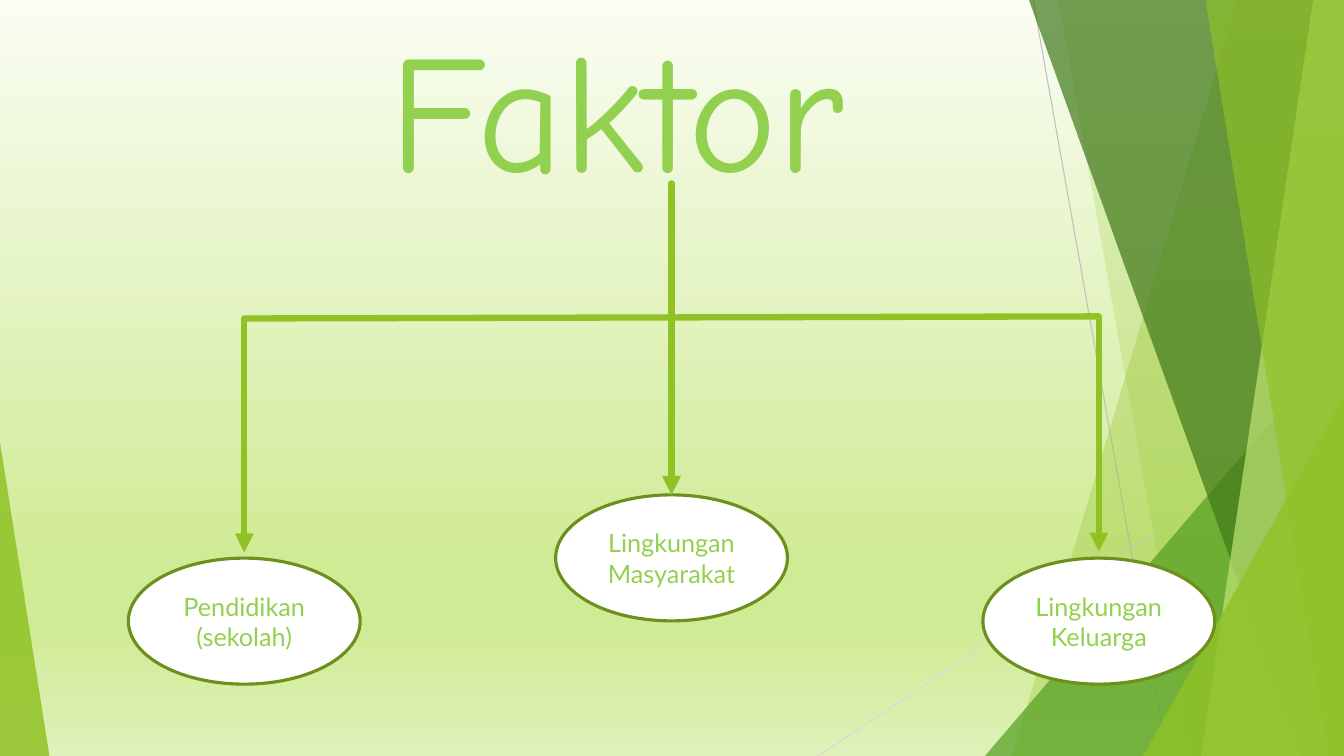
"""Build the slide "Faktor": a title with arrows to three ovals."""
from lxml import etree
from pptx import Presentation
from pptx.dml.color import RGBColor
from pptx.enum.shapes import MSO_CONNECTOR, MSO_SHAPE
from pptx.enum.text import MSO_ANCHOR, PP_ALIGN
from pptx.oxml.ns import qn
from pptx.util import Pt

OVAL, PEAK = MSO_SHAPE.OVAL, MSO_SHAPE.ISOSCELES_TRIANGLE
LINE = MSO_CONNECTOR.STRAIGHT
LEFT, MID = PP_ALIGN.LEFT, PP_ALIGN.CENTER
WIDE, HIGH = 960, 540
GREEN, LIME = "90C226", "92D050"


def paint(fill, tone, alpha=100):
    fill.solid()
    fill.fore_color.rgb = RGBColor.from_string(tone)
    if alpha < 100:
        clr = fill._xPr.find(".//" + qn("a:srgbClr"))
        etree.SubElement(clr, qn("a:alpha"), val=str(alpha * 1000))


def write(frame, text, size=18, font="Lato", tone=LIME, align=MID):
    frame.word_wrap = True
    par = frame.paragraphs[0]
    par.text = text
    par.alignment = align
    for run in par.runs:
        run.font.size = Pt(size)
        run.font.name = font
        run.font.color.rgb = RGBColor.from_string(tone)


class Board:
    def __init__(self, deck):
        self.slide = deck.slides.add_slide(deck.slide_layouts[6])
        self.shapes = self.slide.shapes

    def back(self, stops):
        fill = self.slide.background.fill
        fill.gradient()
        fill.gradient_angle = 270
        rows = self.slide.element.find(".//" + qn("a:gsLst"))
        for row in list(rows):
            rows.remove(row)
        for pos, tone in stops:
            row = etree.SubElement(rows, qn("a:gs"), pos=str(pos * 1000))
            etree.SubElement(row, qn("a:srgbClr"), val=tone)

    def shard(self, points, tone, alpha):
        first, *rest = [(Pt(x), Pt(y)) for x, y in points]
        path = self.shapes.build_freeform(*first)
        path.add_line_segments(rest, close=True)
        self.plain(path.convert_to_shape(), tone, alpha)

    def peak(self, x, y, w, h, tip, tone, alpha):
        shape = self.shapes.add_shape(PEAK, Pt(x), Pt(y), Pt(w), Pt(h))
        shape.adjustments[0] = tip
        self.plain(shape, tone, alpha)

    def plain(self, shape, tone, alpha):
        shape.shadow.inherit = False
        paint(shape.fill, tone, alpha)
        shape.line.fill.background()

    def oval(self, mid, top, text):
        w, h = 165.6, 90
        shape = self.shapes.add_shape(OVAL, Pt(mid - w / 2), Pt(top), Pt(w), Pt(h))
        shape.shadow.inherit = False
        paint(shape.fill, "FFFFFF")
        paint(shape.line.fill, "6B901C")
        shape.line.width = Pt(2.25)
        shape.text_frame.vertical_anchor = MSO_ANCHOR.MIDDLE
        write(shape.text_frame, text)
        return shape

    def title(self, x, y, w, h, text):
        box = self.shapes.add_textbox(Pt(x), Pt(y), Pt(w), Pt(h))
        write(box.text_frame, text, size=120, font="Comic Neue", align=LEFT)

    def line(self, x1, y1, x2, y2, tone=GREEN, width=4.5, head=False, goal=None):
        link = self.shapes.add_connector(LINE, Pt(x1), Pt(y1), Pt(x2), Pt(y2))
        paint(link.line.fill, tone)
        link.line.width = Pt(width)
        props = link._element.spPr
        etree.SubElement(props, qn("a:effectLst"))
        edge = props.find(qn("a:ln"))
        edge.set("cap", "rnd")
        if head:
            etree.SubElement(edge, qn("a:tailEnd"), type="triangle")
        if goal is not None:
            link.end_connect(goal, 0)


def main():
    deck = Presentation()
    deck.slide_width, deck.slide_height = Pt(WIDE), Pt(HIGH)
    board = Board(deck)
    board.back([(0, "FAFDF3"), (74, "D0EB96"), (83, "D0EB96"), (100, "DFF1B9")])

    board.line(738, 0, 834, HIGH, "BFBFBF", 0.75)
    board.line(WIDE, 290, 584.5, HIGH, "D9D9D9", 0.75)

    def shard(top, foot, tone, alpha):
        board.shard([(top, 0), (WIDE, 0), (WIDE, HIGH), (foot, HIGH)], tone, alpha)

    shard(884, 723, GREEN, 30)
    shard(756, 852, GREEN, 20)
    board.peak(703.5, 240, 256.5, 300, 1, "54A021", 72)
    shard(735, 929.5, "3F7819", 70)
    shard(938, 858, "C0E474", 70)
    shard(861, 949, GREEN, 65)
    board.peak(816.5, 283, 143.5, 257, 1, GREEN, 80)
    board.peak(0, 316, 35.3, 224, 0, GREEN, 85)

    board.title(271.4, 0, 521, 152.6, "Faktor")

    left, mid, right = [174.5 + 305.2 * i for i in range(3)]
    board.oval(left, 398.7, "Pendidikan\n(sekolah)")
    goal = board.oval(mid, 353.5, "Lingkungan\nMasyarakat")
    board.oval(right, 398.7, "Lingkungan Keluarga")

    board.line(mid, 131, mid, 353.5, head=True, goal=goal)
    board.line(left, 227.5, right, 226)
    board.line(right, 227.5, right, 394, head=True)
    board.line(left, 228, left, 394.5, head=True)
    deck.save("out.pptx")


if __name__ == "__main__":
    main()
